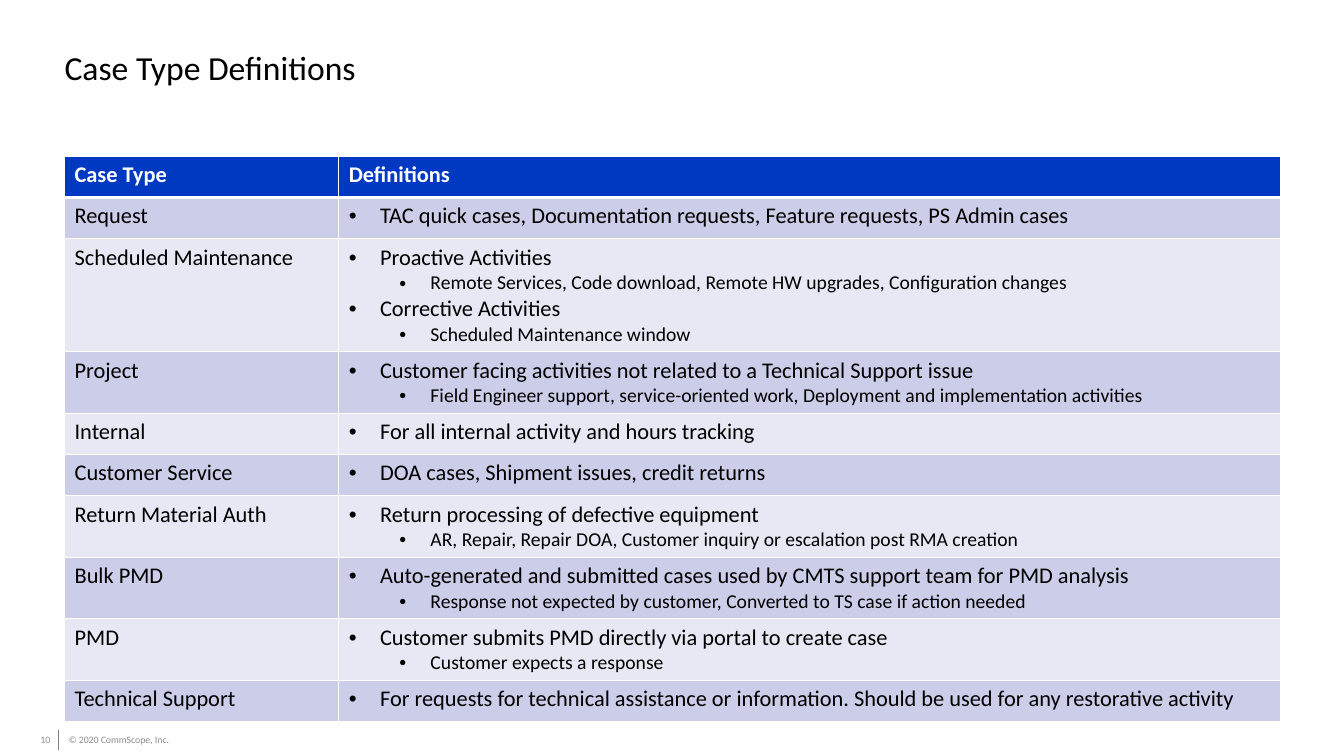
from lxml.etree import SubElement
from pptx import Presentation
from pptx.dml.color import RGBColor
from pptx.enum.shapes import MSO_CONNECTOR as Connector
from pptx.enum.text import MSO_ANCHOR as Anchor, MSO_AUTO_SIZE as AutoSize, PP_ALIGN as Align
from pptx.oxml.ns import qn
from pptx.util import Pt

TITLE = "Case Type Definitions"
HEADINGS = ("Case Type", "Definitions")
CASES = [
    ("Request", [("TAC quick cases, Documentation requests, Feature requests, PS Admin cases", [])]),
    ("Scheduled Maintenance", [
        ("Proactive Activities",
         ["Remote Services, Code download, Remote HW upgrades, Configuration changes"]),
        ("Corrective Activities", ["Scheduled Maintenance window"]),
    ]),
    ("Project", [
        ("Customer facing activities not related to a Technical Support issue",
         ["Field Engineer support, service-oriented work, Deployment and implementation activities"]),
    ]),
    ("Internal", [("For all internal activity and hours tracking", [])]),
    ("Customer Service", [("DOA cases, Shipment issues, credit returns", [])]),
    ("Return Material Auth", [
        ("Return processing of defective equipment",
         ["AR, Repair, Repair DOA, Customer inquiry or escalation post RMA creation"]),
    ]),
    ("Bulk PMD", [
        ("Auto-generated and submitted cases used by CMTS support team for PMD analysis",
         ["Response not expected by customer, Converted to TS case if action needed"]),
    ]),
    ("PMD", [
        ("Customer submits PMD directly via portal to create case", ["Customer expects a response"]),
    ]),
    ("Technical Support", [
        ("For requests for technical assistance or information. "
         "Should be used for any restorative activity", []),
    ]),
]
FOOTER = [
    ("10", (23, 723, 33, 22), (0, 4, 6, 5), Align.RIGHT),
    ("© 2020 CommScope, Inc.", (62, 723, 530, 22), (6, 4, 0, 5), Align.LEFT),
]

BLACK = RGBColor(0, 0, 0)
WHITE = RGBColor(255, 255, 255)
BLUE = RGBColor(0x00, 0x39, 0xC1)
BANDS = (RGBColor(0xCC, 0xCE, 0xE9), RGBColor(0xE7, 0xE8, 0xF4))
GRAY = RGBColor(0x8C, 0x8C, 0x8C)
RULE_GRAY = RGBColor(0x80, 0x80, 0x80)
FONT = "Calibri"
PX = 9144
COLUMNS = (272, 934)
ROW_HEIGHT, CELL_PADDING = 41, 10
LINE_HEIGHTS = (27, 24)
LEVEL_SIZES = (16, 14)
BULLET_INDENT, LEVEL_STEP = 31, 50


def px(*lengths):
    return [length * PX for length in lengths]


def write(para, text, size=16, color=BLACK, bold=False, align=Align.LEFT):
    para.alignment = align
    span = para.add_run()
    span.text = text
    span.font.name = FONT
    span.font.size = Pt(size)
    span.font.bold = bold
    span.font.color.rgb = color


def set_frame(frame, insets):
    frame.margin_left, frame.margin_top, frame.margin_right, frame.margin_bottom = px(*insets)
    frame.vertical_anchor = Anchor.MIDDLE
    frame.word_wrap = True
    frame.auto_size = AutoSize.NONE


def add_bullet(para, level):
    para.level = level
    properties = para._p.get_or_add_pPr()
    properties.set("marL", str((BULLET_INDENT + LEVEL_STEP * level) * PX))
    properties.set("indent", str(-BULLET_INDENT * PX))
    SubElement(properties, qn("a:buFont"), typeface="Arial")
    SubElement(properties, qn("a:buChar"), char="•")


def style_cell(cell, color, top=1, bottom=1):
    properties = cell._tc.get_or_add_tcPr()
    for side, width in (("L", 1), ("R", 1), ("T", top), ("B", bottom)):
        border = SubElement(properties, qn(f"a:ln{side}"), w=str(Pt(width)))
        fill = SubElement(border, qn("a:solidFill"))
        SubElement(fill, qn("a:srgbClr"), val=str(WHITE))
    cell.fill.solid()
    cell.fill.fore_color.rgb = color


def add_title(page):
    title = page.shapes.title
    title.left, title.top, title.width, title.height = px(64, 14, 1206, 111)
    set_frame(title.text_frame, (0, 0, 0, 0))
    para = title.text_frame.paragraphs[0]
    para.line_spacing = 0.9
    write(para, TITLE, size=24)


def add_cases(page):
    rows = [[(text, level) for point, details in points
             for text, level in [(point, 0)] + [(detail, 1) for detail in details]]
            for _, points in CASES]
    heights = [ROW_HEIGHT] + [
        max(ROW_HEIGHT, CELL_PADDING + sum(LINE_HEIGHTS[level] for _, level in lines))
        for lines in rows]
    area = px(64, 155, sum(COLUMNS), sum(heights))
    table = page.shapes.add_table(len(heights), len(COLUMNS), *area).table
    table.horz_banding = False
    for column, width in zip(table.columns, px(*COLUMNS)):
        column.width = width
    for row, height in zip(table.rows, px(*heights)):
        row.height = height
    for column, heading in enumerate(HEADINGS):
        cell = table.cell(0, column)
        style_cell(cell, BLUE, bottom=3)
        write(cell.text_frame.paragraphs[0], heading, color=WHITE, bold=True)
    for index, ((name, _), lines) in enumerate(zip(CASES, rows)):
        name_cell, points_cell = table.rows[index + 1].cells
        for cell in (name_cell, points_cell):
            style_cell(cell, BANDS[index % 2], top=1 if index else 3)
        write(name_cell.text_frame.paragraphs[0], name)
        frame = points_cell.text_frame
        for order, (text, level) in enumerate(lines):
            para = frame.add_paragraph() if order else frame.paragraphs[0]
            add_bullet(para, level)
            write(para, text, size=LEVEL_SIZES[level])


def add_footer(page):
    rule = page.shapes.add_connector(Connector.STRAIGHT, *px(58, 724, 58, 744))
    rule.line.color.rgb = RULE_GRAY
    rule.line.width = Pt(0.75)
    SubElement(rule._element.spPr, qn("a:effectLst"))
    for text, area, insets, align in FOOTER:
        box = page.shapes.add_textbox(*px(*area))
        set_frame(box.text_frame, insets)
        write(box.text_frame.paragraphs[0], text, size=7, color=GRAY, align=align)


def main():
    """Build the case type definitions slide."""
    deck = Presentation()
    deck.slide_width, deck.slide_height = px(1333, 750)
    page = deck.slides.add_slide(deck.slide_layouts[5])
    add_title(page)
    add_cases(page)
    add_footer(page)
    deck.save("out.pptx")


if __name__ == "__main__":
    main()
